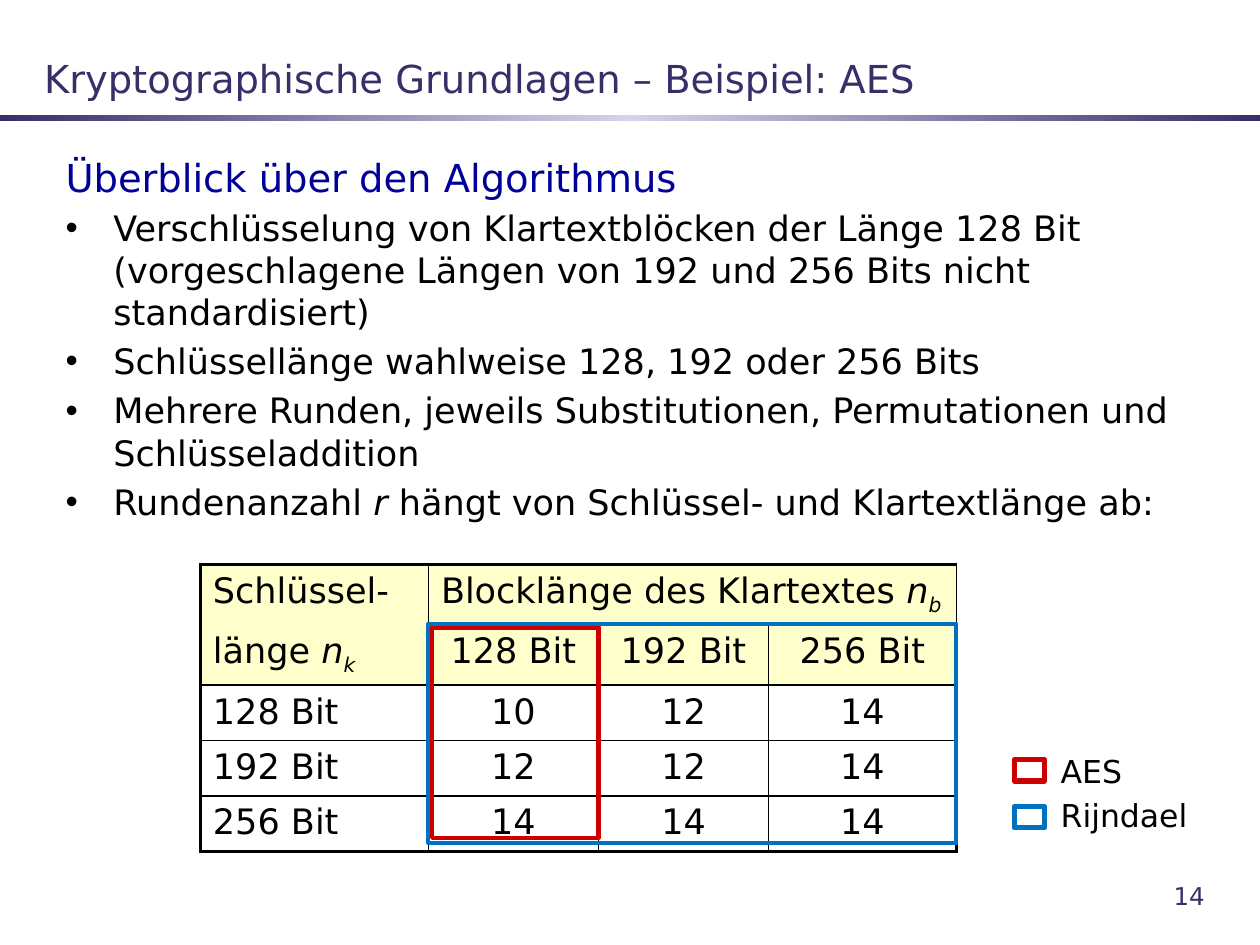
from copy import deepcopy
from dataclasses import dataclass

from lxml import etree
from pptx import Presentation
from pptx.dml.color import RGBColor
from pptx.enum import shapes, text
from pptx.oxml import ns
from pptx.util import Inches, Pt


@dataclass(frozen=True)
class Theme:
    font: str = "DejaVu Sans"
    navy: str = "372F67"
    pale: str = "D5D2EA"
    blue: str = "000099"
    black: str = "000000"
    cream: str = "FFFFCC"
    red: str = "CC0000"
    sky: str = "0070C0"
    head: int = 22
    main: int = 20
    key: int = 18
    page: int = 14


THEME = Theme()
LEFT, MID, RIGHT = text.PP_ALIGN.LEFT, text.PP_ALIGN.CENTER, text.PP_ALIGN.RIGHT
GAP = 0.2  # space before a paragraph, as a share of its type size

BODY = [
    "Verschlüsselung von Klartextblöcken der Länge 128 Bit "
    "(vorgeschlagene Längen von 192 und 256 Bits nicht standardisiert)",
    "Schlüssellänge wahlweise 128, 192 oder 256 Bits",
    "Mehrere Runden, jeweils Substitutionen, Permutationen und Schlüsseladdition",
    [("Rundenanzahl ", ""), ("r ", "i"),
     ("hängt von Schlüssel- und Klartextlänge ab:", "")],
]
ROUNDS = [
    ["Schlüssel-", [("Blocklänge des Klartextes ", ""), ("n", "i"), ("b", "sub")]],
    [[("länge ", ""), ("n", "i"), ("k", "sub")], "128 Bit", "192 Bit", "256 Bit"],
    ["128 Bit", "10", "12", "14"],
    ["192 Bit", "12", "12", "14"],
    ["256 Bit", "14", "14", "14"],
]
COLS = [1.81, 1.35, 1.35, 1.49]
ROWS = [0.47, 0.47, 0.44, 0.44, 0.44]


def rgb(code):
    return RGBColor.from_string(code)


def place(shape, left, top, width, height):
    shape.left, shape.top = Inches(left), Inches(top)
    shape.width, shape.height = Inches(width), Inches(height)


def write(para, parts, size, color=THEME.black, align=LEFT):
    """Fill a paragraph with a string or with (text, style) runs."""
    para.alignment = align
    para.font.name, para.font.size = THEME.font, Pt(size)
    para.font.color.rgb = rgb(color)
    for words, style in [(parts, "")] if isinstance(parts, str) else parts:
        run = para.add_run()
        run.text = words
        if style:
            run.font.italic = True
        if style == "sub":
            run.font._element.set("baseline", "-25000")


def bullet(para, mark):
    """Give a paragraph a hanging indent, with or without a bullet mark."""
    props = para._p.get_or_add_pPr()
    props.set("marL", str(Inches(0.38)))
    props.set("indent", str(-Inches(0.38)))
    if mark:
        etree.SubElement(props, ns.qn("a:buChar"), char=mark)
    else:
        etree.SubElement(props, ns.qn("a:buNone"))


def add_title(slide, words):
    title = slide.shapes.title
    place(title, 0.25, 0.33, 9.5, 0.58)
    frame = title.text_frame
    frame.auto_size = text.MSO_AUTO_SIZE.NONE
    frame.vertical_anchor = text.MSO_ANCHOR.MIDDLE
    write(frame.paragraphs[0], words, THEME.head, THEME.navy)


def add_body(slide, head, items):
    body = slide.placeholders[1]
    place(body, 0.42, 1.17, 9.17, 3.48)
    frame = body.text_frame
    frame.auto_size = text.MSO_AUTO_SIZE.NONE
    first = frame.paragraphs[0]
    bullet(first, None)
    first.space_before = Pt(0)
    write(first, head, THEME.head, THEME.blue)
    for item in items:
        para = frame.add_paragraph()
        bullet(para, "•")
        para.space_before = Pt(THEME.main * GAP)
        write(para, item, THEME.main)


def add_text(slide, box, lines, size, color=THEME.black, align=LEFT):
    shape = slide.shapes.add_textbox(*map(Inches, box))
    frame = shape.text_frame
    frame.word_wrap = True
    for i, line in enumerate(lines):
        para = frame.add_paragraph() if i else frame.paragraphs[0]
        para.space_before = Pt(size * GAP if i else 0)
        write(para, line, size, color, align)


def add_rect(slide, box):
    rect = slide.shapes.add_shape(shapes.MSO_SHAPE.RECTANGLE, *map(Inches, box))
    rect.shadow.inherit = False
    return rect


def add_rule(slide):
    """Draw the bar under the title, pale in its middle."""
    rule = add_rect(slide, (0, 0.91, 10, 0.05))
    rule.line.fill.background()
    rule.fill.gradient()
    rule.fill.gradient_angle = 0
    stops = rule._element.spPr.find(".//" + ns.qn("a:gsLst"))
    stops.append(deepcopy(stops[0]))
    shades = [THEME.navy, THEME.pale, THEME.navy]
    for i, (stop, shade) in enumerate(zip(rule.fill.gradient_stops, shades)):
        stop.position = i / 2
        stop.color.rgb = rgb(shade)


def add_frame(slide, box, color, width):
    rect = add_rect(slide, box)
    rect.fill.background()
    rect.line.color.rgb = rgb(color)
    rect.line.width = Pt(width)


def border(cell, side, width):
    line = etree.SubElement(cell._tc.get_or_add_tcPr(), ns.qn("a:ln" + side),
                            w=str(Pt(width)))
    if width:
        fill = etree.SubElement(line, ns.qn("a:solidFill"))
        etree.SubElement(fill, ns.qn("a:srgbClr"), val=THEME.black)
    else:
        etree.SubElement(line, ns.qn("a:noFill"))


def add_rounds(slide):
    """Build the table: thick outside, medium under the head, thin inside."""
    size = len(ROWS), len(COLS)
    box = 1.59, 4.48, sum(COLS), sum(ROWS)
    table = slide.shapes.add_table(*size, *map(Inches, box)).table
    for col, width in zip(table.columns, COLS):
        col.width = Inches(width)
    for row, height in zip(table.rows, ROWS):
        row.height = Inches(height)
    across = [2.25, 1, 1.5, 1, 1, 2.25]
    down = [2.25, 1, 1, 1, 2.25]
    for r in range(size[0]):
        for c in range(size[1]):
            cell = table.cell(r, c)
            top = 0 if (r, c) == (1, 0) else across[r]
            base = 0 if (r, c) == (0, 0) else across[r + 1]
            for side, width in zip("LRTB", (down[c], down[c + 1], top, base)):
                border(cell, side, width)
            if r < 2:
                cell.fill.solid()
                cell.fill.fore_color.rgb = rgb(THEME.cream)
            else:
                cell.fill.background()
            if c < len(ROUNDS[r]):
                align = MID if r and c else LEFT
                write(cell.text_frame.paragraphs[0], ROUNDS[r][c], THEME.main,
                      align=align)
    table.cell(0, 1).merge(table.cell(0, 3))


def main():
    deck = Presentation()
    deck.slide_width, deck.slide_height = Inches(10), Inches(7.5)
    slide = deck.slides.add_slide(deck.slide_layouts[1])
    add_rule(slide)
    add_text(slide, (7.58, 6.94, 2.08, 0.38), ["14"], THEME.page, THEME.navy, RIGHT)
    add_title(slide, "Kryptographische Grundlagen – Beispiel: AES")
    add_body(slide, "Überblick über den Algorithmus", BODY)
    add_rounds(slide)
    add_frame(slide, (3.43, 4.98, 1.32, 1.67), THEME.red, 2.5)
    add_frame(slide, (3.4, 4.95, 4.19, 1.74), THEME.sky, 2.25)
    for top, color in ((6.03, THEME.red), (6.4, THEME.sky)):
        add_frame(slide, (8.05, top, 0.24, 0.17), color, 3)
    add_text(slide, (8.32, 5.92, 1.34, 0.77), ["AES", "Rijndael"], THEME.key)
    deck.save("out.pptx")


if __name__ == "__main__":
    main()
